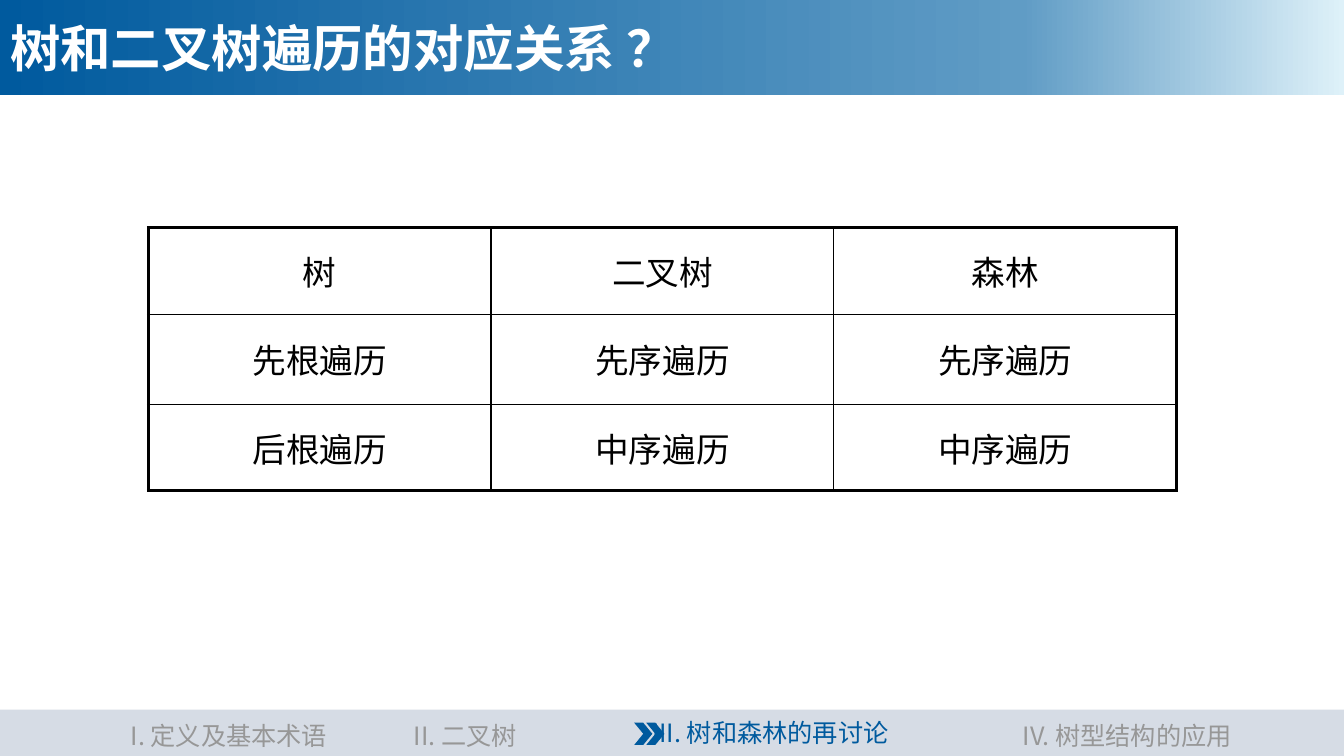
"""Build a slide matching tree traversals with binary tree traversals."""
from copy import deepcopy
from dataclasses import dataclass

from lxml import etree
from pptx import Presentation
from pptx import util as u
from pptx.dml.color import RGBColor
from pptx.enum import shapes, text
from pptx.oxml import ns

FACE = "Noto Sans CJK SC"
BLACK = RGBColor(0, 0, 0)
WHITE = RGBColor(255, 255, 255)
BLUE = RGBColor(0x00, 0x5A, 0x9E)
MID = RGBColor(0x60, 0x9C, 0xC5)
PALE = RGBColor(0xDE, 0xF1, 0xF9)
BAR = RGBColor(0xD6, 0xDC, 0xE5)
GRAY = RGBColor(0x97, 0x97, 0x97)
WIDE = u.Inches(13.33)
THICK, THIN = 2.25, 1


@dataclass
class Label:
    left: float
    width: float
    words: str


ROWS = [
    ("树", "二叉树", "森林"),
    ("先根遍历", "先序遍历", "先序遍历"),
    ("后根遍历", "中序遍历", "中序遍历"),
]
HEIGHTS = (0.86, 0.89, 0.86)
LABELS = [
    Label(0.43, 3.68, "I. 定义及基本术语"),
    Label(3.5, 2.23, "II. 二叉树"),
    Label(9.96, 2.44, "IV. 树型结构的应用"),
]


def write(frame, words: str, size: float, color: RGBColor,
          align=text.PP_ALIGN.CENTER, bold: bool = False) -> None:
    """Fill a text frame with one styled paragraph."""
    frame.word_wrap = True
    frame.text = words
    para = frame.paragraphs[0]
    para.alignment = align
    font = para.font
    font.size, font.bold = u.Pt(size), bold
    font.color.rgb = color
    font.name = FACE
    props = para._p.pPr.find(ns.qn("a:defRPr"))
    etree.SubElement(props, ns.qn("a:ea"), typeface=FACE)


def edge(cell, side: str, index: int, points: float) -> None:
    """Draw one black border of a table cell."""
    line = etree.Element(ns.qn(f"a:ln{side}"), w=str(u.Pt(points)))
    fill = etree.SubElement(line, ns.qn("a:solidFill"))
    etree.SubElement(fill, ns.qn("a:srgbClr"), val=str(BLACK))
    cell._tc.get_or_add_tcPr().insert(index, line)


def head(slide) -> None:
    """Format the title as a gradient band."""
    title = slide.shapes.title
    title.left, title.top = 0, 0
    title.width, title.height = WIDE, u.Inches(0.94)
    title.fill.gradient()
    title.fill.gradient_angle = 0
    first = title.fill._xPr.find(".//" + ns.qn("a:gs"))
    first.addnext(deepcopy(first))
    tints = ((0, BLUE), (0.76, MID), (1, PALE))
    for stop, (place, color) in zip(title.fill.gradient_stops, tints):
        stop.position, stop.color.rgb = place, color
    frame = title.text_frame
    frame.auto_size = text.MSO_AUTO_SIZE.NONE
    frame.vertical_anchor = text.MSO_ANCHOR.MIDDLE
    write(frame, "树和二叉树遍历的对应关系 ？", 36, WHITE,
          text.PP_ALIGN.LEFT, True)


def grid(slide) -> None:
    """Add the table with a thick outer frame."""
    count, last = len(ROWS), len(ROWS[0]) - 1
    table = slide.shapes.add_table(
        count, last + 1, u.Inches(1.47), u.Inches(2.26),
        u.Inches(10.2), u.Inches(sum(HEIGHTS))).table
    table.first_row = table.horz_banding = False
    for row, (height, names) in enumerate(zip(HEIGHTS, ROWS)):
        table.rows[row].height = u.Inches(height)
        for col, name in enumerate(names):
            cell = table.cell(row, col)
            cell.vertical_anchor = text.MSO_ANCHOR.MIDDLE
            cell.fill.background()
            write(cell.text_frame, name, 24, BLACK)
            outer = (col == 0, col == last, row == 0, row == count - 1)
            for index, (side, rim) in enumerate(zip("LRTB", outer)):
                edge(cell, side, index, THICK if rim else THIN)


def block(slide, kind, left: float, top: float, width: float,
          height: float, color: RGBColor):
    """Add a flat shape without outline."""
    shape = slide.shapes.add_shape(
        kind, u.Inches(left), u.Inches(top),
        u.Inches(width), u.Inches(height))
    shape.shadow.inherit = False
    shape.fill.solid()
    shape.fill.fore_color.rgb = color
    shape.line.fill.background()
    return shape


def foot(slide) -> None:
    """Add the chapter bar with the current chapter marked."""
    kinds = shapes.MSO_SHAPE
    bar = block(slide, kinds.RECTANGLE, 0, 7.04, 13.33, 0.46, BAR)
    frame = bar.text_frame
    frame.margin_left = u.Inches(2.05)
    frame.vertical_anchor = text.MSO_ANCHOR.MIDDLE
    write(frame, "III. 树和森林的再讨论", 18, BLUE)
    for label in LABELS:
        box = slide.shapes.add_textbox(
            u.Inches(label.left), u.Inches(7.1),
            u.Inches(label.width), u.Inches(0.4))
        write(box.text_frame, label.words, 18, GRAY)
    for left in (6.41, 6.29):
        block(slide, kinds.CHEVRON, left, 7.17, 0.18, 0.22, BLUE)


def main() -> None:
    """Build and save the slide."""
    deck = Presentation()
    deck.slide_width, deck.slide_height = WIDE, u.Inches(7.5)
    slide = deck.slides.add_slide(deck.slide_layouts[5])
    grid(slide)
    head(slide)
    foot(slide)
    deck.save("out.pptx")


if __name__ == "__main__":
    main()
